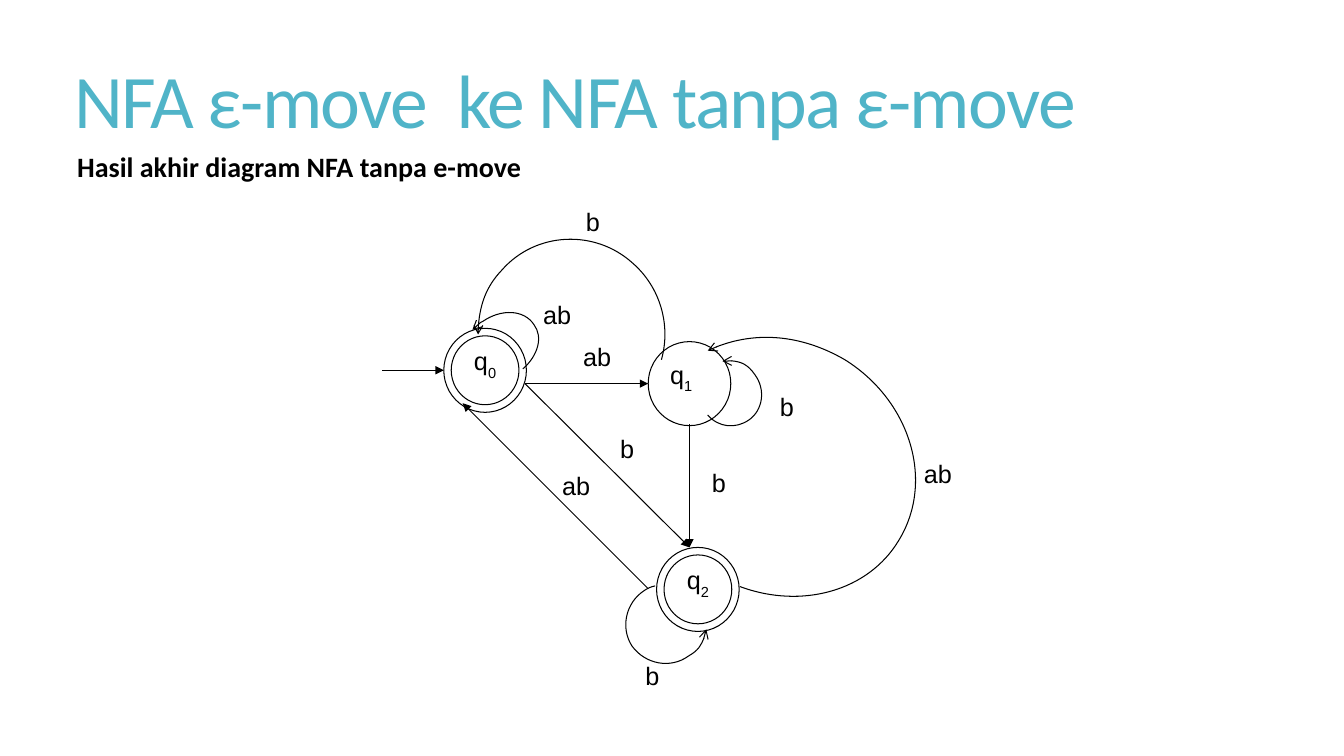
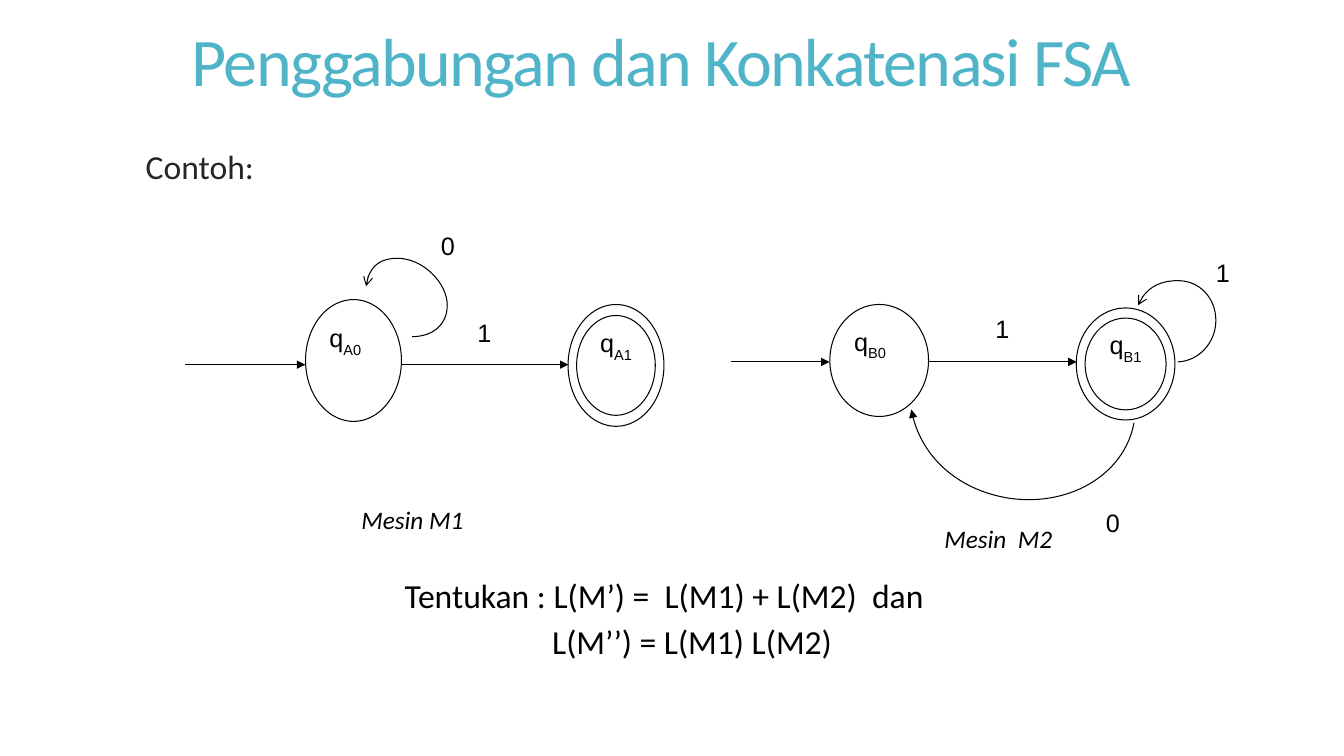
"""Build two slides of finite automaton diagrams."""

from dataclasses import dataclass

import lxml.etree
import pptx
import pptx.dml.color
import pptx.enum.shapes
import pptx.enum.text
import pptx.oxml.ns
import pptx.util

Pt = pptx.util.Pt
qn = pptx.oxml.ns.qn
ALIGN = pptx.enum.text.PP_ALIGN
ANCHOR = pptx.enum.text.MSO_ANCHOR
OVAL = pptx.enum.shapes.MSO_SHAPE.OVAL


@dataclass(frozen=True)
class Theme:
    """Colours, fonts and sizes shared by both slides."""

    accent: str = "50B4C8"
    ink: str = "000000"
    soft_ink: str = "262626"
    paper: str = "FFFFFF"
    text_font: str = "Calibri"
    diagram_font: str = "Arial"
    title_size: float = 54
    small_title_size: float = 48.6
    body_size: float = 24
    subtitle_size: float = 20
    diagram_size: float = 18
    stroke: float = 0.75
    tight: float = 0.85
    inner_ring: float = 0.82
    label_box: tuple = (44, 30)


THEME = Theme()


def rgb(colour):
    """Return a colour object for a hex string."""
    return pptx.dml.color.RGBColor.from_string(colour)


def points(values):
    """Turn numbers in points into lengths."""
    return [Pt(value) for value in values]


def add_run(paragraph, text, size, font=THEME.text_font, colour=THEME.ink):
    """Add one styled run and return it."""
    run = paragraph.add_run()
    run.text = text
    run.font.size = Pt(size)
    run.font.name = font
    run.font.color.rgb = rgb(colour)
    return run


def add_title(slide, text, box, size):
    """Place and style the title placeholder."""
    title = slide.shapes.title
    title.left, title.top, title.width, title.height = points(box)
    frame = title.text_frame
    frame.auto_size = pptx.enum.text.MSO_AUTO_SIZE.NONE
    frame.word_wrap = True
    frame.vertical_anchor = ANCHOR.MIDDLE
    heading = frame.paragraphs[0]
    heading.alignment = ALIGN.LEFT
    heading.line_spacing = THEME.tight
    run = add_run(heading, text, size, colour=THEME.accent)
    run.font.element.set("spc", "-120") if hasattr(run.font, "element") else (
        run._r.get_or_add_rPr().set("spc", "-120")
    )


def add_text_frame(slide, box):
    """Add a wrapping text box and return its frame."""
    frame = slide.shapes.add_textbox(*points(box)).text_frame
    frame.word_wrap = True
    return frame


def add_caption(slide, text, box, size, colour=THEME.ink):
    """Add a one-line caption and return its run."""
    paragraph = add_text_frame(slide, box).paragraphs[0]
    return add_run(paragraph, text, size, colour=colour)


def add_label(slide, text, centre_x, top):
    """Add the input symbols of a transition."""
    width, height = THEME.label_box
    frame = add_text_frame(slide, (centre_x - width / 2, top, width, height))
    symbol = frame.paragraphs[0]
    symbol.alignment = ALIGN.CENTER
    add_run(symbol, text, THEME.diagram_size, THEME.diagram_font)


def set_stroke(line):
    """Give a line the shared colour and width."""
    line.color.rgb = rgb(THEME.ink)
    line.width = Pt(THEME.stroke)


def add_arrowhead(shape, head):
    """Put an arrowhead at the end of a stroked shape."""
    outline = shape.element.spPr.find(qn("a:ln"))
    lxml.etree.SubElement(outline, qn("a:tailEnd"), type=head)


def add_ring(slide, centre, size):
    """Add an unfilled circle around a centre."""
    left, top = (middle - side / 2 for middle, side in zip(centre, size))
    ring = slide.shapes.add_shape(OVAL, *points((left, top, *size)))
    ring.shadow.inherit = False
    ring.fill.background()
    set_stroke(ring.line)
    return ring


def add_state(slide, index, centre, size, final=False):
    """Add a state, with a second ring if it is final."""
    state = add_ring(slide, centre, size)
    state.fill.solid()
    state.fill.fore_color.rgb = rgb(THEME.paper)
    state.text_frame.vertical_anchor = ANCHOR.TOP
    name = state.text_frame.paragraphs[0]
    name.alignment = ALIGN.CENTER if final else ALIGN.LEFT
    add_run(name, "q", THEME.diagram_size, THEME.diagram_font)
    subscript = add_run(name, index, THEME.diagram_size, THEME.diagram_font)
    subscript._r.get_or_add_rPr().set("baseline", "-30000")
    if final:
        add_ring(slide, centre, [side * THEME.inner_ring for side in size])


def add_arrow(slide, start, end):
    """Add a straight transition arrow."""
    straight = pptx.enum.shapes.MSO_CONNECTOR.STRAIGHT
    arrow = slide.shapes.add_connector(straight, *points((*start, *end)))
    set_stroke(arrow.line)
    add_arrowhead(arrow, "triangle")
    lxml.etree.SubElement(arrow.element.spPr, qn("a:effectLst"))


def add_curve(slide, knots, head="arrow"):
    """Add a curved arrow through a start point and Bezier triples."""
    start, *rest = [points(knot) for knot in knots]
    builder = slide.shapes.build_freeform(*start)
    builder.add_line_segments(rest, close=False)
    curve = builder.convert_to_shape()
    curve.shadow.inherit = False
    curve.fill.background()
    set_stroke(curve.line)
    add_arrowhead(curve, head)
    segments = list(curve.element.iter(qn("a:lnTo")))
    for first in range(0, len(segments), 3):
        triple = segments[first:first + 3]
        bezier = lxml.etree.Element(qn("a:cubicBezTo"))
        triple[0].addprevious(bezier)
        for segment in triple:
            bezier.append(segment[0])
            segment.getparent().remove(segment)


def add_diagram(slide, arrows, curves, labels):
    """Add the transitions of an automaton and their symbols."""
    for start, end in arrows:
        add_arrow(slide, start, end)
    for curve in curves:
        add_curve(slide, curve)
    for text, centre_x, top in labels:
        add_label(slide, text, centre_x, top)


def build_result(slide):
    """Fill the slide with the automaton without e-moves."""
    add_title(slide, "NFA ε-move  ke NFA tanpa ε-move", (46, 37, 848, 77), THEME.title_size)
    subtitle = add_caption(
        slide, "Hasil akhir diagram NFA tanpa e-move", (48, 103, 450, 37), THEME.subtitle_size
    )
    subtitle.font.bold = True
    size = (59, 60)
    add_state(slide, "0", (346.5, 264.5), size, final=True)
    add_state(slide, "1", (492.5, 274), size)
    add_state(slide, "2", (498.5, 421), size, final=True)
    arrows = [
        ((273, 264.5), (317, 264.5)),
        ((375, 274), (463, 274)),
        ((375, 274), (492.5, 391)),
        ((492.5, 303), (492.5, 391)),
        ((463, 420.5), (330.5, 288)),
    ]
    loop_q0 = [
        (373.5, 263.5), (384.5, 254), (388, 240.5), (381.5, 232), (374.5, 221),
        (358, 220.5), (345, 229.5), (342, 231), (340, 233), (337.5, 235.5),
    ]
    loop_q1 = [
        (505.5, 296.5), (513.5, 305.5), (525.5, 306.5), (535, 300), (545, 293),
        (547, 278.5), (539.5, 268), (534, 260), (525.5, 256.5), (516, 258),
    ]
    loop_q2 = [
        (468, 418.5), (465, 419), (462, 420.5), (460, 422), (447, 430.5),
        (443, 448.5), (451.5, 461.5), (461, 474.5), (479, 478), (492, 468.5),
        (499, 464.5), (503.5, 457), (504.5, 449.5),
    ]
    q1_to_q0 = [
        (472.5, 257), (479.5, 232), (471.5, 205), (452, 188), (425, 163.5),
        (382.5, 165.5), (358.5, 193), (347, 205), (341.5, 222), (341.5, 239),
    ]
    q2_to_q1 = [
        (528.5, 419), (573, 435.5), (620.5, 422), (642, 386), (668, 343.5),
        (650, 286), (603.5, 257), (572.5, 239), (535.5, 236), (505.5, 250.5),
    ]
    labels = [
        ("b", 423.5, 144), ("ab", 398, 210), ("ab", 426.5, 240),
        ("b", 562, 276), ("b", 448, 306), ("ab", 670, 324),
        ("b", 513.5, 330), ("ab", 411.5, 332.5), ("b", 466, 468),
    ]
    add_diagram(slide, arrows, [loop_q0, loop_q1, loop_q2, q1_to_q0, q2_to_q1], labels)


def build_example(slide):
    """Fill the slide with the two machines to combine."""
    add_title(
        slide, " Penggabungan dan Konkatenasi FSA", (120, 24, 720, 46), THEME.small_title_size
    )
    example = add_text_frame(slide, (97, 105, 640, 40)).paragraphs[0]
    example.line_spacing = THEME.tight
    add_run(example, "Contoh:", THEME.body_size, colour=THEME.soft_ink)

    size_m1, size_m2 = (68.5, 87), (70.5, 80)
    add_state(slide, "A0", (252.5, 257.5), size_m1)
    add_state(slide, "A1", (440, 261), size_m1, final=True)
    add_state(slide, "B0", (628, 257.5), size_m2)
    add_state(slide, "B1", (804, 260), size_m2, final=True)
    arrows = [
        ((132.5, 260.5), (218, 260.5)),
        ((286.5, 260.5), (406, 260.5)),
        ((522, 258.5), (592.5, 258.5)),
        ((663, 258.5), (769, 258.5)),
    ]
    loop_a0 = [
        (294.5, 240.5), (309, 240.5), (319.5, 232), (319.5, 218), (319.5, 202),
        (302, 184.5), (284, 184.5), (272, 184.5), (262.5, 192), (261.5, 204.5),
    ]
    loop_b1 = [
        (841.5, 258.5), (856, 258), (868.5, 245), (868.5, 229), (868.5, 213),
        (857, 200.5), (841.5, 200.5), (829, 200.5), (817, 207), (813, 218),
    ]
    b1_to_b0 = [
        (810, 302), (803, 340), (762, 363), (718.5, 355.5),
        (683, 349), (656, 323), (651, 292.5),
    ]
    labels = [
        ("0", 320, 161), ("1", 346, 223), ("1", 716, 220),
        ("1", 873.5, 180), ("0", 795, 358.5),
    ]
    add_diagram(slide, arrows, [loop_a0, loop_b1], labels)
    add_curve(slide, b1_to_b0, head="triangle")

    for machine, left, top in (("Mesin M1", 251, 357), ("Mesin  M2", 667.5, 370)):
        caption = add_caption(slide, machine, (left, top, 125, 54), THEME.diagram_size)
        caption.font.italic = True

    task = add_text_frame(slide, (150.5, 407, 648, 66))
    union, concatenation = task.paragraphs[0], task.add_paragraph()
    add_run(union, "Tentukan : L(M’) =  L(M1) + L(M2)  dan", THEME.body_size)
    add_run(concatenation, "L(M’’) = L(M1) L(M2)", THEME.body_size)
    for formula in (union, concatenation):
        formula.alignment = ALIGN.CENTER
        formula.space_before = Pt(4)
    concatenation._p.get_or_add_pPr().set("marL", str(Pt(40)))


def main():
    """Build and save the presentation."""
    deck = pptx.Presentation()
    deck.slide_width, deck.slide_height = Pt(960), Pt(540)
    title_only = deck.slide_layouts.get_by_name("Title Only")
    for build in (build_result, build_example):
        build(deck.slides.add_slide(title_only))
    deck.save("out.pptx")


if __name__ == "__main__":
    main()
